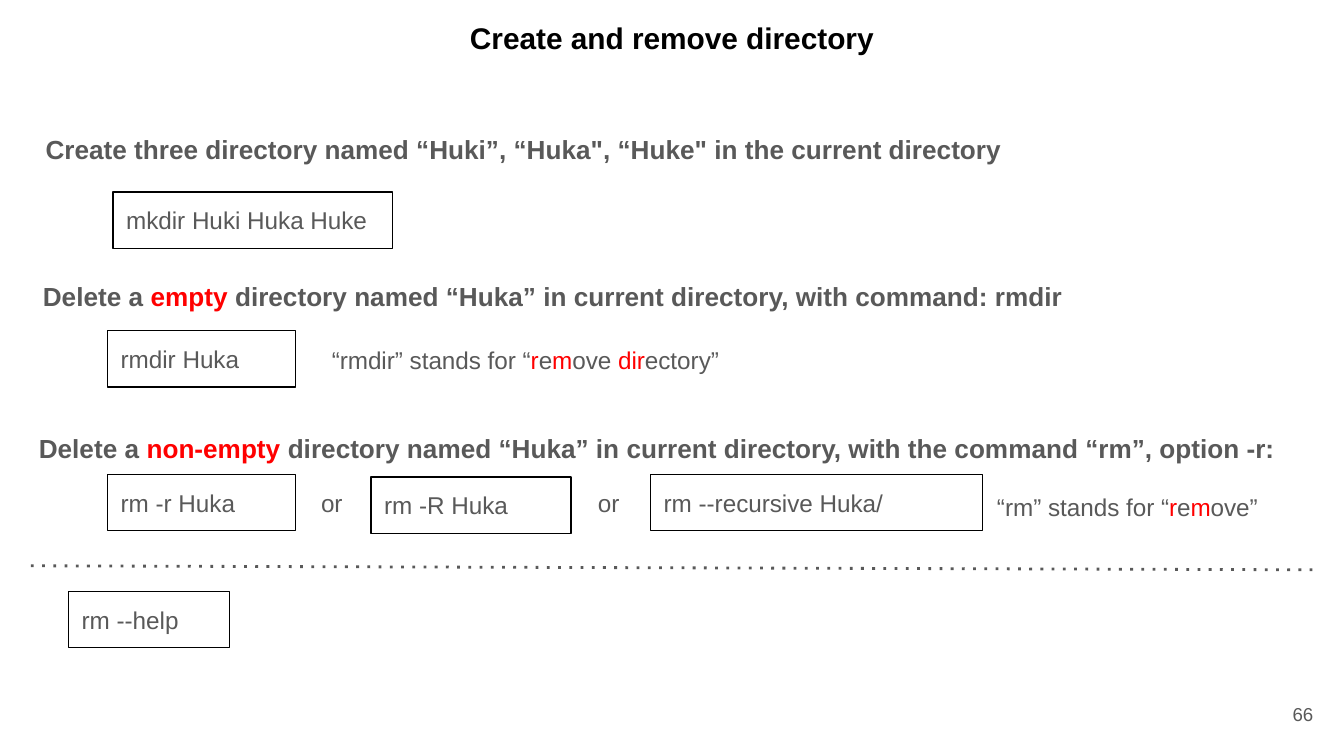
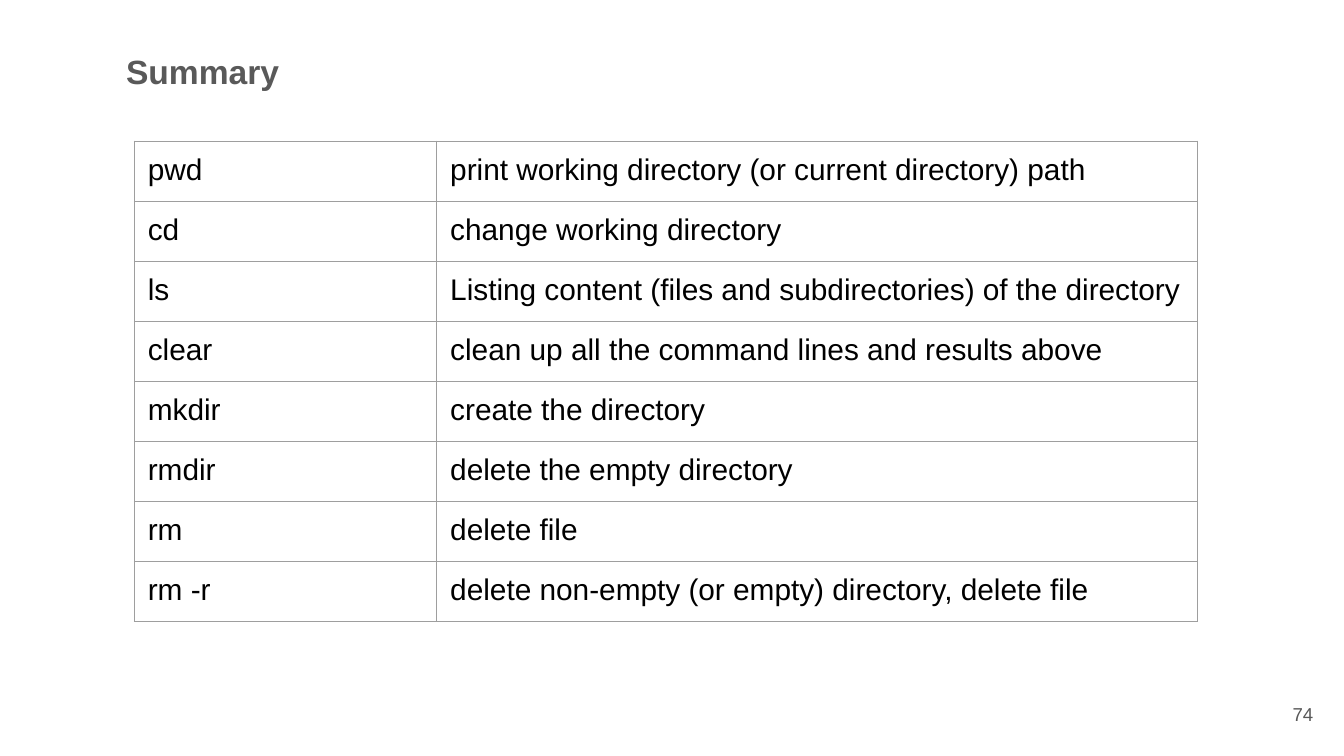
import pptx
import pptx.dml.color
import pptx.enum.shapes
import pptx.enum.text
import pptx.oxml
import pptx.oxml.ns
import pptx.util

Inches = pptx.util.Inches
Pt = pptx.util.Pt
Align = pptx.enum.text.PP_ALIGN

GREY, BLACK, RED, RULE = "595959", "000000", "FF0000", "9E9E9E"
PAD = Inches(0.1)
XMLNS = pptx.oxml.ns.nsdecls("a")


def tint(code):
    return pptx.dml.color.RGBColor.from_string(code)


def write(frame, text, size, ink=GREY, bold=False, align=Align.LEFT):
    """Fill the first paragraph; parts between asterisks turn red."""
    para = frame.paragraphs[0]
    para.alignment = align
    for i, part in enumerate(text.split("*")):
        run = para.add_run()
        run.text = part
        run.font.name = "Arial"
        run.font.size = Pt(size)
        run.font.bold = bold
        run.font.color.rgb = tint(RED if i % 2 else ink)


deck = pptx.Presentation()
deck.slide_width, deck.slide_height = Inches(10), Inches(10 * 9 / 16)
blank = deck.slide_layouts[6]
main = deck.slides.add_slide(blank)
recap = deck.slides.add_slide(blank)

# Text: slide, place, wording, size, ink, bold, alignment
labels = [
    (main, (2.77, 0.05, 4.46, 0.47), "Create and remove directory", 16, BLACK, True, Align.CENTER),
    (recap, (0.84, 0.28, 1.36, 0.5), "Summary", 18, GREY, True, Align.LEFT),
]
heads = [
    (0.24, 0.89, 8.72, "Create three directory named “Huki”, “Huka\", “Huke\" in the current directory"),
    (0.22, 1.99, 8.72, "Delete a *empty* directory named “Huka” in current directory, with command: rmdir"),
    (0.19, 3.12, 9.62, "Delete a *non-empty *directory named “Huka” in current directory, "
                       "with the command “rm”, option -r:"),
]
notes = [
    (2.37, 2.47, 3.39, "“rmdir” stands for “*r*e*m*ove *dir*ectory”"),
    (2.29, 3.53, 0.65, "or"),
    (4.35, 3.53, 0.65, "or"),
    (7.32, 3.56, 2.64, "“rm” stands for “*r*e*m*ove”"),
]
for x, y, w, text in heads:
    labels.append((main, (x, y, w, 0.44), text, 14, GREY, True, Align.LEFT))
for x, y, w, text in notes:
    labels.append((main, (x, y, w, 0.42), text, 13, GREY, False, Align.LEFT))
for page, number in ((main, "66"), (recap, "74")):
    labels.append((page, (9.27, 5.1, 0.6, 0.43), number, 10, GREY, False, Align.RIGHT))

for page, place, *style in labels:
    frame = page.shapes.add_textbox(*map(Inches, place)).text_frame
    frame.word_wrap = True
    frame.margin_top = frame.margin_bottom = PAD
    if style[-1] == Align.RIGHT:
        frame.vertical_anchor = pptx.enum.text.MSO_ANCHOR.MIDDLE
    write(frame, *style)

# Framed commands
commands = [
    (0.84, 1.43, 2.08, "mkdir Huki Huka Huke"),
    (0.8, 2.46, 1.4, "rmdir Huka"),
    (0.8, 3.53, 1.4, "rm -r Huka"),
    (2.76, 3.55, 1.49, "rm -R Huka"),
    (4.84, 3.53, 2.47, "rm --recursive Huka/"),
    (0.51, 4.4, 1.2, "rm --help"),
]
for x, y, w, text in commands:
    box = main.shapes.add_shape(pptx.enum.shapes.MSO_SHAPE.RECTANGLE,
                                *map(Inches, (x, y, w, 0.42)))
    box.shadow.inherit = False
    box.fill.background()
    box.line.color.rgb = tint(BLACK)
    box.line.width = Pt(0.75)
    frame = box.text_frame
    frame.word_wrap = True
    frame.margin_top = frame.margin_bottom = PAD
    frame.vertical_anchor = pptx.enum.text.MSO_ANCHOR.TOP
    write(frame, text, 13)

# Dotted divider
dots = main.shapes.add_connector(pptx.enum.shapes.MSO_CONNECTOR.STRAIGHT,
                                 *map(Inches, (0.23, 4.21, 9.77, 4.24)))
dots.line.color.rgb = tint(GREY)
dots.line.width = Pt(1.5)
props = dots.element.spPr
props.find(pptx.oxml.ns.qn("a:ln")).append(
    pptx.oxml.parse_xml(f'<a:prstDash {XMLNS} val="dot"/>'))
props.append(pptx.oxml.parse_xml(f'<a:effectLst {XMLNS}/>'))

# Summary table
rows = [
    ("pwd", "print working directory (or current directory) path"),
    ("cd", "change working directory"),
    ("ls", "Listing content (files and subdirectories) of the directory"),
    ("clear", "clean up all the command lines and results above"),
    ("mkdir", "create the directory"),
    ("rmdir", "delete the empty directory"),
    ("rm", "delete file"),
    ("rm -r", "delete non-empty (or empty) directory, delete file"),
]
grid = recap.shapes.add_table(len(rows), 2, *map(Inches, (1, 1.05, 7.92, 3.33))).table
grid.first_row = grid.horz_banding = False
for col, w in zip(grid.columns, (2.25, 5.66)):
    col.width = Inches(w)
for r, row in enumerate(rows):
    grid.rows[r].height = Inches(0.42)
    for c, text in enumerate(row):
        cell = grid.cell(r, c)
        cell.margin_top = cell.margin_bottom = Inches(0.09)
        write(cell.text_frame, text, 16, BLACK)
        props = cell._tc.get_or_add_tcPr()
        for side in "LRTB":
            props.append(pptx.oxml.parse_xml(
                f'<a:ln{side} {XMLNS} w="{Pt(0.75)}"><a:solidFill>'
                f'<a:srgbClr val="{RULE}"/></a:solidFill></a:ln{side}>'))
        cell.fill.background()

deck.save("out.pptx")
